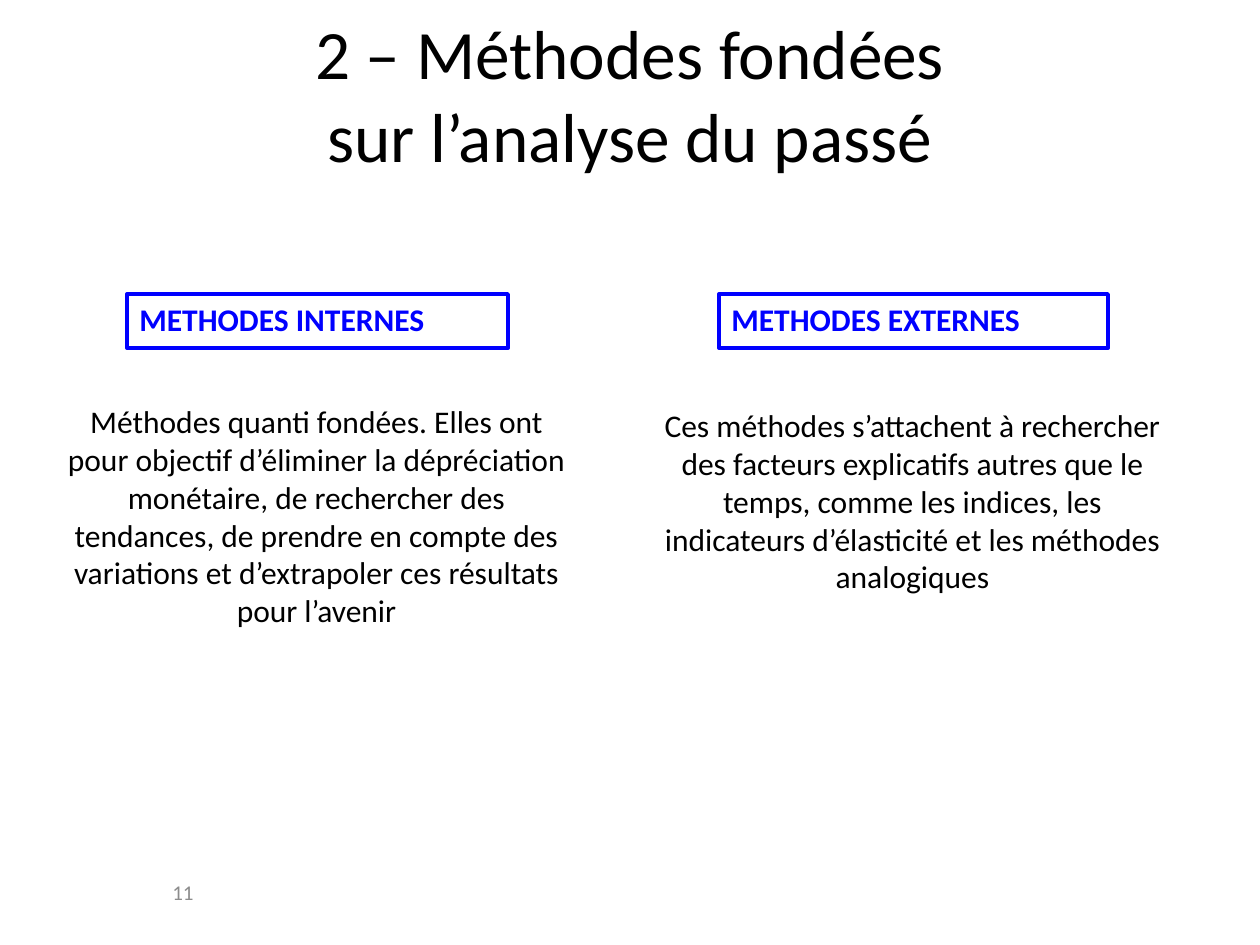
from pptx import Presentation
from pptx.dml.color import RGBColor
from pptx.enum.shapes import MSO_SHAPE
from pptx.enum.text import MSO_ANCHOR, MSO_AUTO_SIZE, PP_ALIGN
from pptx.util import Inches, Pt

BLACK = RGBColor(0, 0, 0)
BLUE = RGBColor(0, 0, 255)
GRAY = RGBColor(0x8C, 0x8C, 0x8C)
FONT = "Calibri"


def px(n):
    """Turn pixels into EMU."""
    return round(n * Inches(1) / 126)


def write(shape, text, size, color, align=PP_ALIGN.LEFT, anchor=MSO_ANCHOR.TOP, bold=False):
    """Fill a shape with one styled paragraph."""
    frame = shape.text_frame
    frame.word_wrap = True
    frame.vertical_anchor = anchor
    para = frame.paragraphs[0]
    para.text = text
    para.alignment = align
    font = para.font
    font.name, font.size, font.bold = FONT, Pt(size), bold
    font.color.rgb = color


def add_text(slide, box, *style):
    """Add a text box with styled text."""
    shape = slide.shapes.add_textbox(*map(px, box))
    write(shape, *style)
    return shape


def add_title(slide, box):
    """Place the centred title."""
    text = "2 – Méthodes fondées\vsur l’analyse du passé"
    add_text(slide, box, text, 39.6, BLACK, PP_ALIGN.CENTER, MSO_ANCHOR.MIDDLE)


def add_method(slide, box, inset, width, drop, head, body):
    """Place a framed heading with its description below."""
    left, top, full, height = box
    frame = slide.shapes.add_shape(
        MSO_SHAPE.RECTANGLE, px(left + inset), px(top), px(width), px(54))
    frame.shadow.inherit = False
    frame.fill.background()
    frame.line.color.rgb = BLUE
    frame.line.width = Pt(2.25)
    write(frame, head, 18, BLUE, PP_ALIGN.LEFT, MSO_ANCHOR.TOP, True)
    note = add_text(slide, (left, top + drop, full, height - drop),
                    body, 18, BLACK, PP_ALIGN.CENTER)
    for shape in (frame, note):
        shape.text_frame.auto_size = MSO_AUTO_SIZE.SHAPE_TO_FIT_TEXT


def add_number(slide, box):
    """Place the slide number."""
    add_text(slide, box, "11", 12, GRAY, PP_ALIGN.LEFT, MSO_ANCHOR.MIDDLE)


def main():
    """Build and save the slide."""
    deck = Presentation()
    deck.slide_width, deck.slide_height = px(1260), px(945)
    slide = deck.slides.add_slide(deck.slide_layouts[6])
    add_number(slide, (160, 861, 262, 63))
    add_title(slide, (0, 11, 1260, 164))
    add_method(
        slide, (54, 294, 525, 341), 73, 381, 102, "METHODES INTERNES",
        "Méthodes quanti fondées. Elles ont pour objectif d’éliminer la "
        "dépréciation monétaire, de rechercher des tendances, de prendre en "
        "compte des variations et d’extrapoler ces résultats pour l’avenir")
    add_method(
        slide, (650, 294, 525, 307), 69, 389, 106, "METHODES EXTERNES",
        "Ces méthodes s’attachent à rechercher des facteurs explicatifs "
        "autres que le temps, comme les indices, les indicateurs "
        "d’élasticité et les méthodes analogiques")
    deck.save("out.pptx")


if __name__ == "__main__":
    main()
